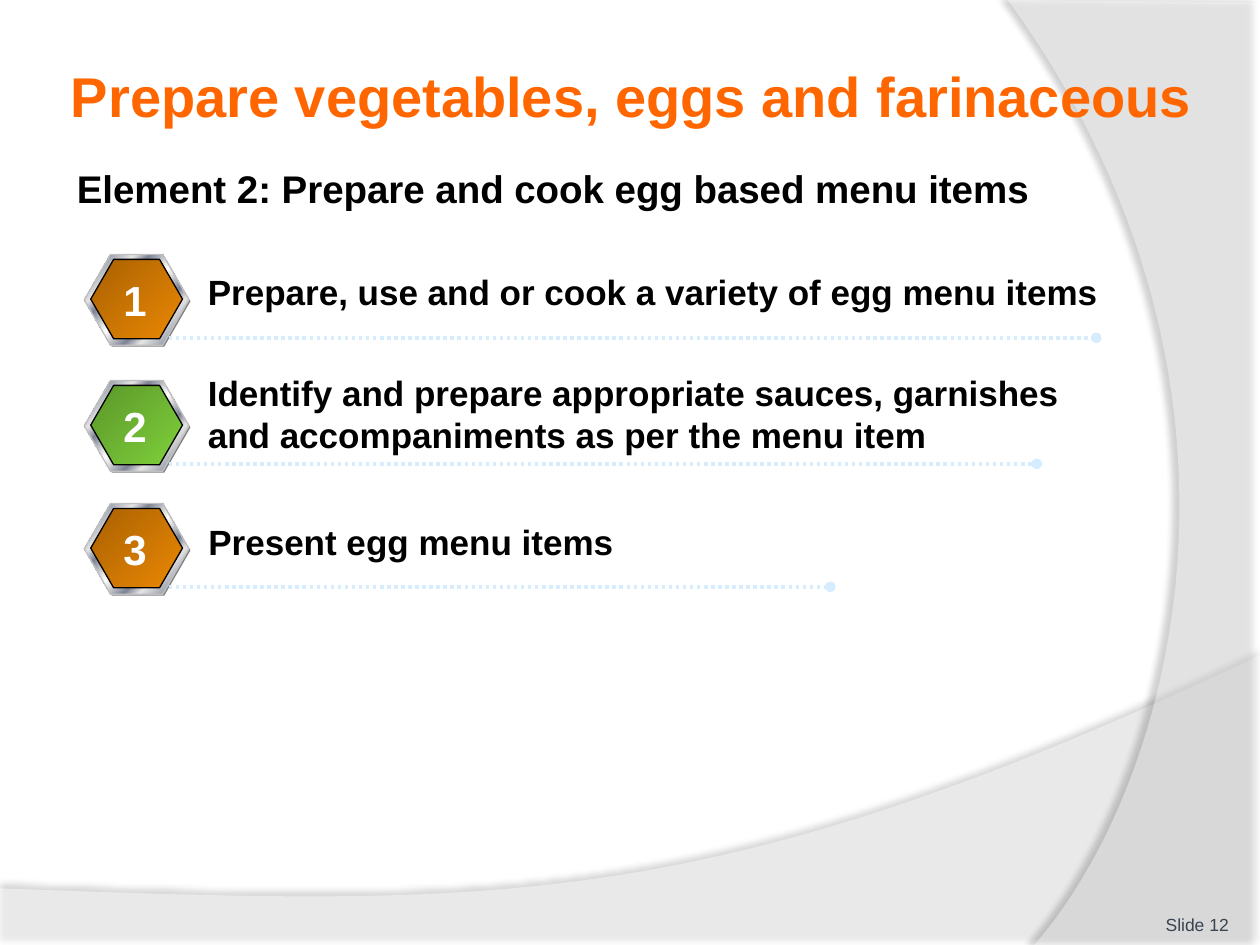
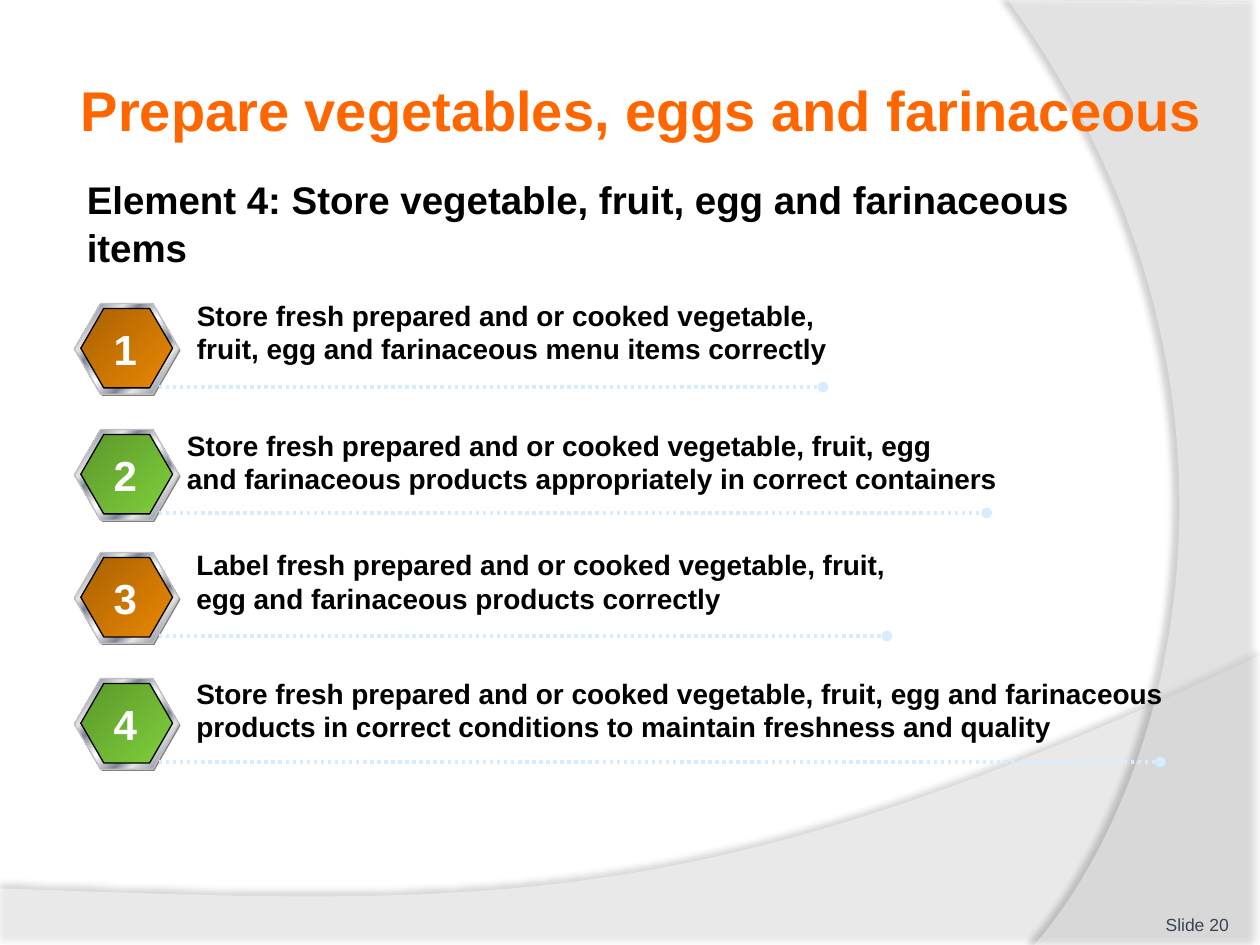
"""Build two slides that list the elements of a cookery unit as numbered hexagons."""
from lxml import etree
from pptx import Presentation
from pptx.dml.color import RGBColor
from pptx.enum.dml import MSO_LINE
from pptx.enum.shapes import MSO_CONNECTOR, MSO_SHAPE
from pptx.enum.text import MSO_ANCHOR, MSO_AUTO_SIZE, PP_ALIGN
from pptx.oxml.ns import qn
from pptx.util import Cm, Pt

HEXAGON, STRAIGHT, DOTTED = MSO_SHAPE.HEXAGON, MSO_CONNECTOR.STRAIGHT, MSO_LINE.ROUND_DOT
LEFT, CENTER, RIGHT = PP_ALIGN.LEFT, PP_ALIGN.CENTER, PP_ALIGN.RIGHT
TOP, MIDDLE, BOTTOM = MSO_ANCHOR.TOP, MSO_ANCHOR.MIDDLE, MSO_ANCHOR.BOTTOM
NO_FIT = MSO_AUTO_SIZE.NONE

rgb = RGBColor.from_string
ORANGE, BLACK, WHITE, SLATE, PALE_BLUE = "FF6600", "000000", "FFFFFF", "3A4352", "D6ECFF"
GREY, SILVER = "808080", "C0C0C0"
BROWN_FACE = [(0, "A86102"), (100, "EB8803")]
GREEN_FACE = [(0, "5B962A"), (100, "7FD13B")]
LIGHT, STEEL = "E6E6E6", "7D8496"
METAL = [(0, LIGHT), (8, STEEL), (26, LIGHT), (34, STEEL), (46, LIGHT), (50, WHITE),
         (54, LIGHT), (66, STEEL), (74, LIGHT), (92, STEEL), (100, LIGHT)]

TITLE = "Prepare vegetables, eggs and farinaceous"
ROW_OFFSETS = [0, 2.54, 5.02, 7.56]

# fmt: off
SLIDES = [
    dict(title_box=(1.3, 0.91, 23.8, 2.01), heading_box=(1.3, 3.16, 20.75, 2.2),
         heading="Element 2: Prepare and cook egg based menu items",
         origin=(1.7, 5.13), size=20, footer="Slide 12", rows=[
             ("Prepare, use and or cook a variety of egg menu items",
              (3.94, 5.33, 18.59, 1.12), 22.1),
             ("Identify and prepare appropriate sauces, garnishes and accompaniments "
              "as per the menu item", (3.94, 7.37, 18.8, 1.96), 20.9),
             ("Present egg menu items", (3.95, 10.36, 10.21, 1.12), 16.74)]),
    dict(title_box=(1.5, 0.91, 23.8, 2.59), heading_box=(1.5, 3.37, 22.4, 2.2),
         heading="Element 4: Store vegetable, fruit, egg and farinaceous items",
         origin=(1.5, 6.12), size=16, footer="Slide 20", rows=[
             ("Store fresh prepared and or cooked vegetable,\n"
              "fruit, egg and farinaceous menu items correctly",
              (3.72, 5.89, 16.41, 1.63), 16.59),
             ("Store fresh prepared and or cooked vegetable, fruit, egg\n"
              "and farinaceous products appropriately in correct containers",
              (3.52, 8.51, 19, 1.63), 19.89),
             ("Label fresh prepared and or cooked vegetable, fruit,\n"
              "egg and farinaceous products correctly",
              (3.71, 10.92, 16.61, 1.63), 17.88),
             ("Store fresh prepared and or cooked vegetable, fruit, egg and farinaceous "
              "products in correct conditions to maintain freshness and quality",
              (3.71, 13.51, 20.4, 1.63), 23.39)]),
]
# fmt: on


def write(sp, text, size, color, bold=True, align=LEFT, anchor=TOP, wrap=True):
    """Fill a shape with one formatted paragraph and return the paragraph."""
    tf = sp.text_frame
    tf.auto_size, tf.word_wrap, tf.vertical_anchor = NO_FIT, wrap, anchor
    p = tf.paragraphs[0]
    p.text = text
    p.alignment = align
    for r in p.runs:
        r.font.name, r.font.size, r.font.bold = "Arial", Pt(size), bold
        r.font.color.rgb = rgb(color)
    return p


def add_hexagon(s, box, stops, line=None):
    """Add a hexagon with a diagonal gradient, or a plain fill for a single stop."""
    sp = s.shapes.add_shape(HEXAGON, *map(Cm, box))
    sp.adjustments[0], sp.adjustments[1] = 0.289, 1.155
    sp.shadow.inherit = False
    if len(stops) == 1:
        sp.fill.solid()
        sp.fill.fore_color.rgb = rgb(stops[0][1])
    else:
        sp.fill.gradient()
        sp.fill.gradient_angle = 315
        stop_list = next(sp.element.iter(qn("a:gsLst")))
        for stop in list(stop_list):
            stop_list.remove(stop)
        for position, color in stops:
            stop = etree.SubElement(stop_list, qn("a:gs"), pos=str(position * 1000))
            etree.SubElement(stop, qn("a:srgbClr"), val=color)
    if line:
        sp.line.color.rgb = rgb(line)
        sp.line.width = Pt(0.75)
    else:
        sp.line.fill.background()


prs = Presentation()
prs.slide_width, prs.slide_height = Cm(25.4), Cm(19.05)
layout = prs.slide_layouts[5]
slides = [prs.slides.add_slide(layout) for _ in SLIDES]

bands = [
    ([(25.4, 13.21), (14.2, 18.52), (9.93, 18.26), (0, 17.91)],
     [(0, 19.08), (25.4, 19.08)], 45, 35, 3.5, 270),
    ([(20.85, 19.05), (23.75, 15.72), (25.86, 7.62), (20.32, 0)],
     [(25.4, 0.05), (25.4, 19.05)], 40, 45, 4, 180),
]
for i, (curve, corners, opacity, shade, distance, angle) in enumerate(bands):
    points = []
    for step in range(61):
        t = step / 60
        weights = ((1 - t) ** 3, 3 * t * (1 - t) ** 2, 3 * t * t * (1 - t), t ** 3)
        points.append([sum(w * c[axis] for w, c in zip(weights, curve)) for axis in (0, 1)])
    points = [(Cm(x), Cm(y)) for x, y in points + corners]
    builder = slides[0].shapes.build_freeform(*points[0])
    builder.add_line_segments(points[1:])
    band = builder.convert_to_shape()
    band.name = f"Band {i + 1}"
    band.line.fill.background()
    band.fill.solid()
    band.fill.fore_color.rgb = rgb(WHITE)
    fill = band.element.spPr.find(qn("a:solidFill"))
    etree.SubElement(fill[0], qn("a:alpha"), val=str(opacity * 1000))
    band.shadow.inherit = False
    effects = band.element.spPr.find(qn("a:effectLst"))
    shadow = etree.SubElement(effects, qn("a:outerShdw"), blurRad=str(Pt(4)),
                              dist=str(Pt(distance)), dir=str(angle * 60000),
                              algn="ctr", rotWithShape="0")
    color = etree.SubElement(shadow, qn("a:srgbClr"), val=BLACK)
    etree.SubElement(color, qn("a:alpha"), val=str(shade * 1000))
    band.element.nvSpPr.cNvPr.set("id", str(20 + i))
    layout.shapes.element.insert(2 + i, band.element)

for s, content in zip(slides, SLIDES):
    title = s.shapes.title
    title.left, title.top, title.width, title.height = map(Cm, content["title_box"])
    tf = title.text_frame
    tf.margin_left = tf.margin_right = tf.margin_top = tf.margin_bottom = Cm(0.13)
    write(title, TITLE, 32, ORANGE, anchor=MIDDLE)

    heading = s.shapes.add_textbox(*map(Cm, content["heading_box"]))
    p = write(heading, content["heading"], 22, BLACK)
    p.line_spacing = 1.05

    footer = s.shapes.add_textbox(Cm(22.66), Cm(17.83), Cm(2.11), Cm(1.02))
    tf = footer.text_frame
    tf.margin_left = tf.margin_right = tf.margin_top = tf.margin_bottom = 0
    write(footer, content["footer"], 10, SLATE, bold=False, align=RIGHT, anchor=BOTTOM)

    x, first_y = content["origin"]
    for i, (text, text_box, line_end) in enumerate(content["rows"]):
        y = first_y + ROW_OFFSETS[i]
        add_hexagon(s, (x + 0.03, y + 0.03, 2.11, 1.83), [(0, GREY)])
        add_hexagon(s, (x, y, 2.11, 1.83), METAL, SILVER)
        add_hexagon(s, (x + 0.13, y + 0.1, 1.85, 1.6), [BROWN_FACE, GREEN_FACE][i % 2], BLACK)

        line_y = Cm(y + 1.68)
        rule = s.shapes.add_connector(STRAIGHT, Cm(x + 1.7), line_y, Cm(line_end), line_y)
        rule.line.color.rgb = rgb(PALE_BLUE)
        rule.line.width = Pt(2)
        rule.line.dash_style = DOTTED
        etree.SubElement(rule.element.spPr.find(qn("a:ln")), qn("a:tailEnd"), type="oval")
        etree.SubElement(rule.element.spPr, qn("a:effectLst"))

        write(s.shapes.add_textbox(*map(Cm, text_box)), text, content["size"], BLACK)
        number = s.shapes.add_textbox(Cm(x + 0.53), Cm(y + 0.28), Cm(0.99), Cm(1.27))
        write(number, str(i + 1), 24, WHITE, align=CENTER, wrap=False)

prs.save("out.pptx")
